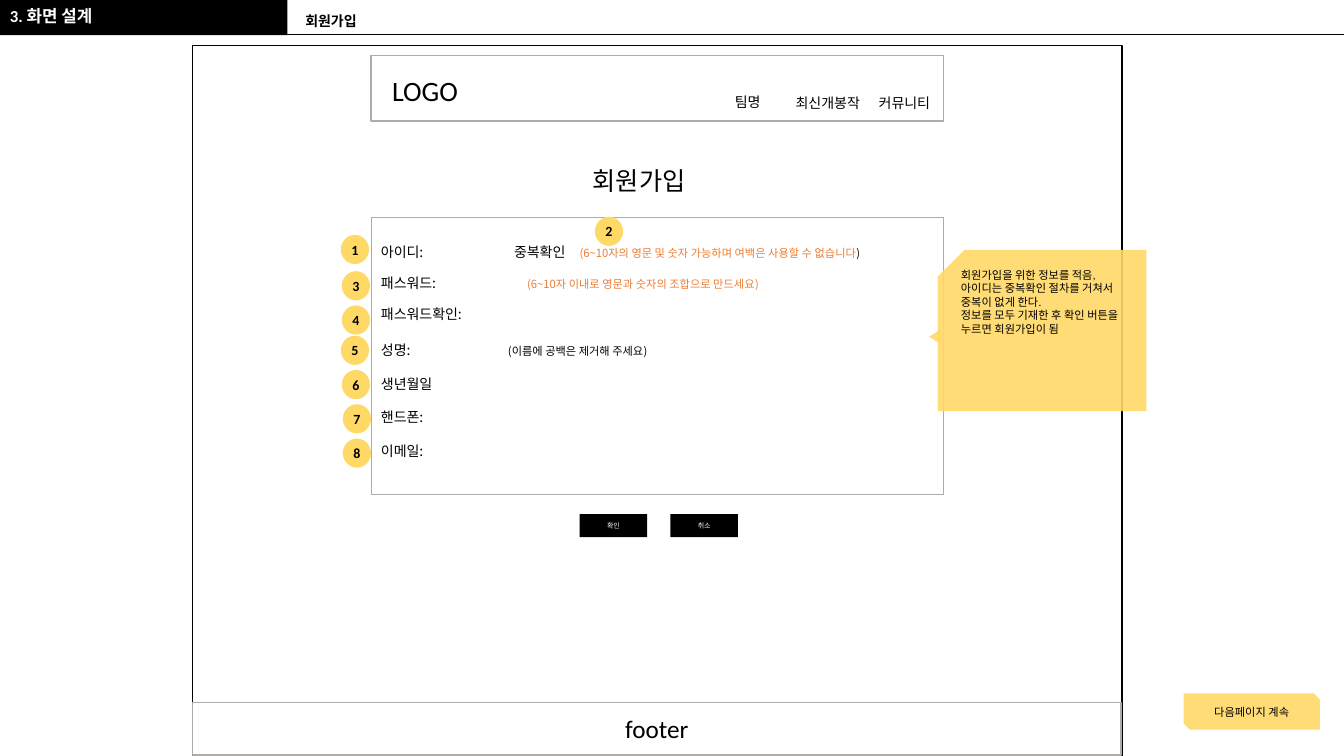
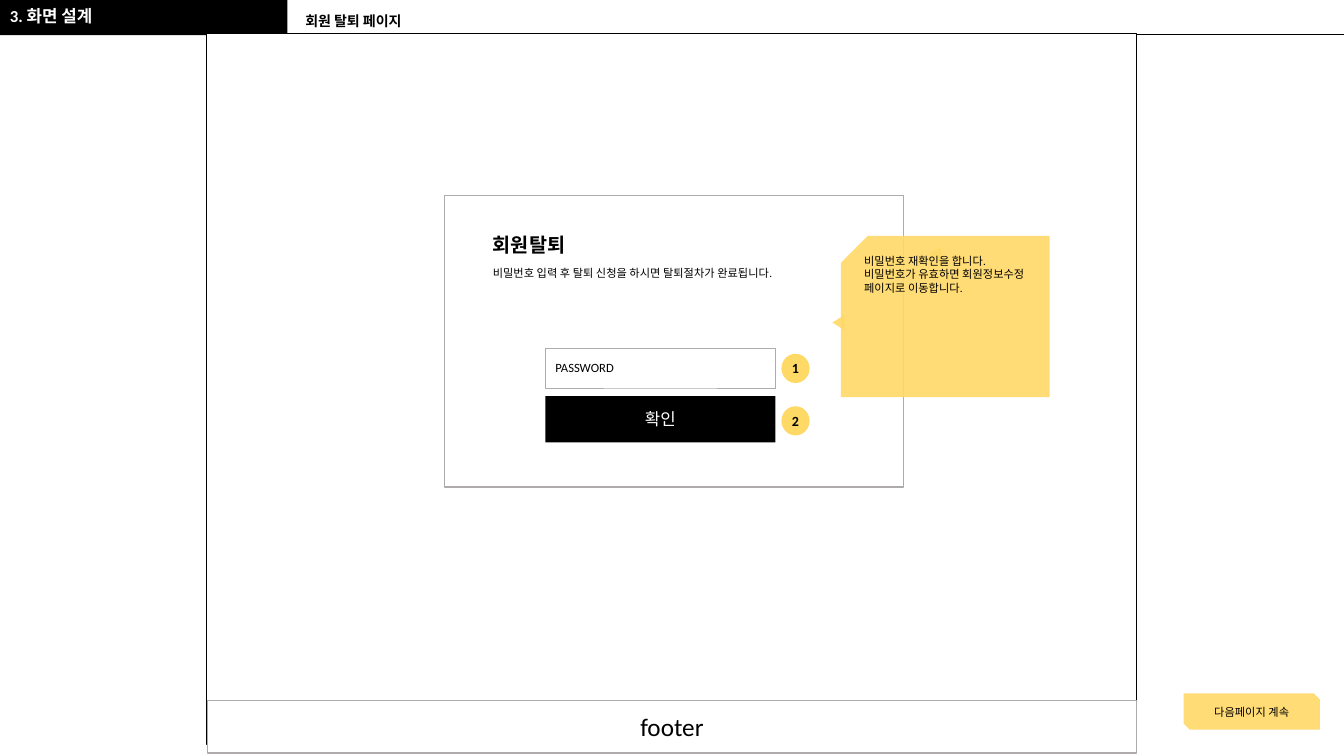
from lxml.etree import SubElement
from pptx import Presentation
from pptx.dml.color import RGBColor
from pptx.enum.shapes import MSO_CONNECTOR as Connector, MSO_SHAPE as Shape
from pptx.enum.text import MSO_ANCHOR as Anchor, PP_ALIGN as Align
from pptx.oxml.ns import qn
from pptx.util import Inches, Pt

BLACK, WHITE, GRAY = "000000", "FFFFFF", "AFABAB"
YELLOW, ORANGE = "FFD966", "ED7D31"
BODY_FONT, FORM_FONT = "Calibri", "Noto Sans CJK KR"


def color(value):
    return RGBColor.from_string(value)


class Wireframe:
    def __init__(self):
        self.presentation = Presentation()
        self.presentation.slide_width = Inches(13.33)
        self.presentation.slide_height = Inches(7.5)
        self.slide = None

    def start(self, subtitle):
        self.slide = self.presentation.slides.add_slide(self.presentation.slide_layouts[6])
        self.box(0, 0, 2.85, 0.35, BLACK)
        self.rule(2.76, 13.33, 0.34)
        for text, left, top, width, height, size, ink in (
            ("3. 화면 설계", 0, 0.03, 2.85, 0.32, 12, WHITE),
            (subtitle, 2.93, 0.09, 8.57, 0.26, 10, BLACK),
        ):
            heading = self.text(text, left, top, width, height, size, ink, bold=True)
            heading.text_frame.paragraphs[0].line_spacing = 0.9

    def page(self, left, top, footer_left, footer_top):
        self.box(left, top, 9.22, 7.05, WHITE, BLACK)
        footer = self.box(footer_left, footer_top, 9.21, 0.52, WHITE, GRAY)
        self.put_lines(footer, ["footer"], 18, align=Align.CENTER)
        following = self.box(11.74, 6.88, 1.35, 0.36, YELLOW, kind=Shape.SNIP_2_DIAG_RECTANGLE, alpha=90)
        self.put_lines(following, ["다음페이지 계속"], 8, align=Align.CENTER)

    def box(self, left, top, width, height, fill, line=None, weight=1, kind=Shape.RECTANGLE, alpha=100):
        shape = self.slide.shapes.add_shape(kind, Inches(left), Inches(top), Inches(width), Inches(height))
        shape.shadow.inherit = False
        shape.fill.solid()
        shape.fill.fore_color.rgb = color(fill)
        if alpha < 100:
            fill_color = shape._element.spPr.find(".//" + qn("a:srgbClr"))
            SubElement(fill_color, qn("a:alpha")).set("val", str(alpha * 1000))
        if line:
            shape.line.color.rgb = color(line)
            shape.line.width = Pt(weight)
        else:
            shape.line.fill.background()
        return shape

    def rule(self, left, right, top):
        line = self.slide.shapes.add_connector(
            Connector.STRAIGHT, Inches(left), Inches(top), Inches(right), Inches(top))
        line.line.color.rgb = color(BLACK)
        line.line.width = Pt(0.5)
        SubElement(line._element.spPr, qn("a:effectLst"))

    def put_lines(self, shape, lines, size, ink=BLACK, bold=False, align=Align.LEFT, anchor=Anchor.MIDDLE):
        frame = shape.text_frame
        frame.word_wrap = True
        frame.vertical_anchor = anchor
        for index, line in enumerate(lines):
            paragraph = frame.add_paragraph() if index else frame.paragraphs[0]
            paragraph.text = line
            paragraph.alignment = align
            font = paragraph.font
            font.name, font.size, font.bold = BODY_FONT, Pt(size), bold
            font.color.rgb = color(ink)

    def text(self, text, left, top, width, height, size, ink=BLACK, bold=False, align=Align.LEFT):
        shape = self.slide.shapes.add_textbox(Inches(left), Inches(top), Inches(width), Inches(height))
        self.put_lines(shape, [text], size, ink, bold, align, Anchor.TOP)
        return shape

    def button(self, text, left, top, width, height, size):
        shape = self.box(left, top, width, height, BLACK)
        self.put_lines(shape, [text], size, WHITE, align=Align.CENTER)

    def badge(self, number, left, top):
        shape = self.box(left, top, 0.28, 0.29, YELLOW, kind=Shape.OVAL)
        frame = shape.text_frame
        frame.margin_left = frame.margin_right = frame.margin_top = frame.margin_bottom = 0
        self.put_lines(shape, [str(number)], 10, bold=True, align=Align.CENTER)

    def badges(self, places):
        for number, (left, top) in enumerate(places, 1):
            self.badge(number, left, top)

    def pointer(self, left, top):
        shape = self.box(left, top, 0.15, 0.12, YELLOW, kind=Shape.ISOSCELES_TRIANGLE, alpha=90)
        shape.rotation = 270

    def note(self, left, top, lines):
        shape = self.box(left, top, 2.07, 1.6, YELLOW, kind=Shape.SNIP_1_RECTANGLE, alpha=90)
        shape._element.spPr.find(qn("a:xfrm")).set("flipH", "1")
        self.put_lines(shape, lines, 8, anchor=Anchor.TOP)
        self.pointer(left - 0.1, top + 0.8)

    def form(self, left, top, width, height, rows):
        shape = self.slide.shapes.add_textbox(Inches(left), Inches(top), Inches(width), Inches(height))
        frame = shape.text_frame
        frame.word_wrap = True
        for index, (gap, tabs, runs) in enumerate(rows):
            paragraph = frame.add_paragraph() if index else frame.paragraphs[0]
            paragraph.space_before = Pt(gap)
            paragraph.line_spacing = Pt(14)
            if tabs:
                stops = SubElement(paragraph._p.get_or_add_pPr(), qn("a:tabLst"))
                for position in tabs:
                    stop = SubElement(stops, qn("a:tab"))
                    stop.set("pos", str(Inches(position)))
                    stop.set("algn", "l")
            for text, size, ink in runs:
                run = paragraph.add_run()
                run.text = text
                run.font.name, run.font.size = FORM_FONT, Pt(size)
                run.font.color.rgb = color(ink)


def sign_up(deck):
    deck.start("회원가입")
    deck.page(1.91, 0.45, 1.91, 6.97)
    deck.box(3.68, 2.15, 5.68, 2.75, WHITE, GRAY, 0.25)
    deck.form(3.68, 2.34, 5.7, 2.5, [
        (0, (1.32, 1.97), [
            ("아이디:\t중복확인\t", 10, BLACK),
            ("(6~10자의 영문 및 숫자 가능하며 여백은 사용할 수 없습니다", 8, ORANGE),
            (")", 8, BLACK)]),
        (8, (1.45,), [
            ("패스워드:\t", 10, BLACK),
            ("(6~10자 이내로 영문과 숫자의 조합으로 만드세요)", 8, ORANGE)]),
        (8, (), [("패스워드확인:", 10, BLACK)]),
        (12, (1.26,), [
            ("성명:\t", 10, BLACK),
            ("(이름에 공백은 제거해 주세요)", 8, BLACK)]),
        *((10, (), [(label, 10, BLACK)]) for label in ("생년월일", "핸드폰:", "이메일:")),
    ])
    deck.box(3.68, 0.55, 5.68, 0.65, WHITE, GRAY)
    deck.text("LOGO", 3.79, 0.68, 1.07, 0.44, 20)
    deck.text("최신개봉작", 7.56, 0.89, 1.3, 0.27, 10, align=Align.CENTER)
    deck.text("팀명", 7.19, 0.88, 0.68, 0.27, 10)
    deck.text("커뮤니티", 8.39, 0.89, 1.16, 0.27, 10, align=Align.CENTER)
    for left, label in ((5.75, "확인"), (6.65, "취소")):
        deck.button(label, left, 5.1, 0.67, 0.23, 5)
    deck.badges([
        (3.38, 2.33), (5.9, 2.15), (3.39, 2.69), (3.39, 3.03),
        (3.38, 3.33), (3.39, 3.67), (3.4, 4.01), (3.4, 4.35),
    ])
    deck.note(9.3, 2.48, [
        "회원가입을 위한 정보를 적음,",
        "아이디는 중복확인 절차를 거쳐서 중복이 없게 한다.",
        "정보를 모두 기재한 후 확인 버튼을 누르면 회원가입이 됨",
    ])
    deck.text("회원가입", 5.78, 1.59, 1.27, 0.4, 18)


def withdrawal(deck):
    deck.start("회원 탈퇴 페이지")
    deck.page(2.05, 0.33, 2.06, 6.95)
    deck.box(4.41, 1.94, 4.55, 2.89, WHITE, GRAY)
    password = deck.box(5.41, 3.45, 2.28, 0.4, WHITE, GRAY, 0.25)
    deck.put_lines(password, ["PASSWORD"], 9)
    deck.button("확인", 5.41, 3.93, 2.28, 0.46, 12)
    deck.badges([(7.75, 3.51), (7.75, 4.03)])
    title = deck.box(4.79, 2.23, 2.28, 0.4, WHITE)
    deck.put_lines(title, ["회원탈퇴"], 14, bold=True)
    guide = deck.box(4.79, 2.59, 3.87, 0.24, WHITE)
    deck.put_lines(guide, ["비밀번호 입력 후 탈퇴 신청을 하시면 탈퇴절차가 완료됩니다."], 8)
    deck.pointer(9.2, 2.46)
    deck.note(8.34, 2.34, [
        "비밀번호 재확인을 합니다.",
        "비밀번호가 유효하면 회원정보수정 페이지로 이동합니다.",
    ])


def main():
    deck = Wireframe()
    sign_up(deck)
    withdrawal(deck)
    deck.presentation.save("out.pptx")


if __name__ == "__main__":
    main()
